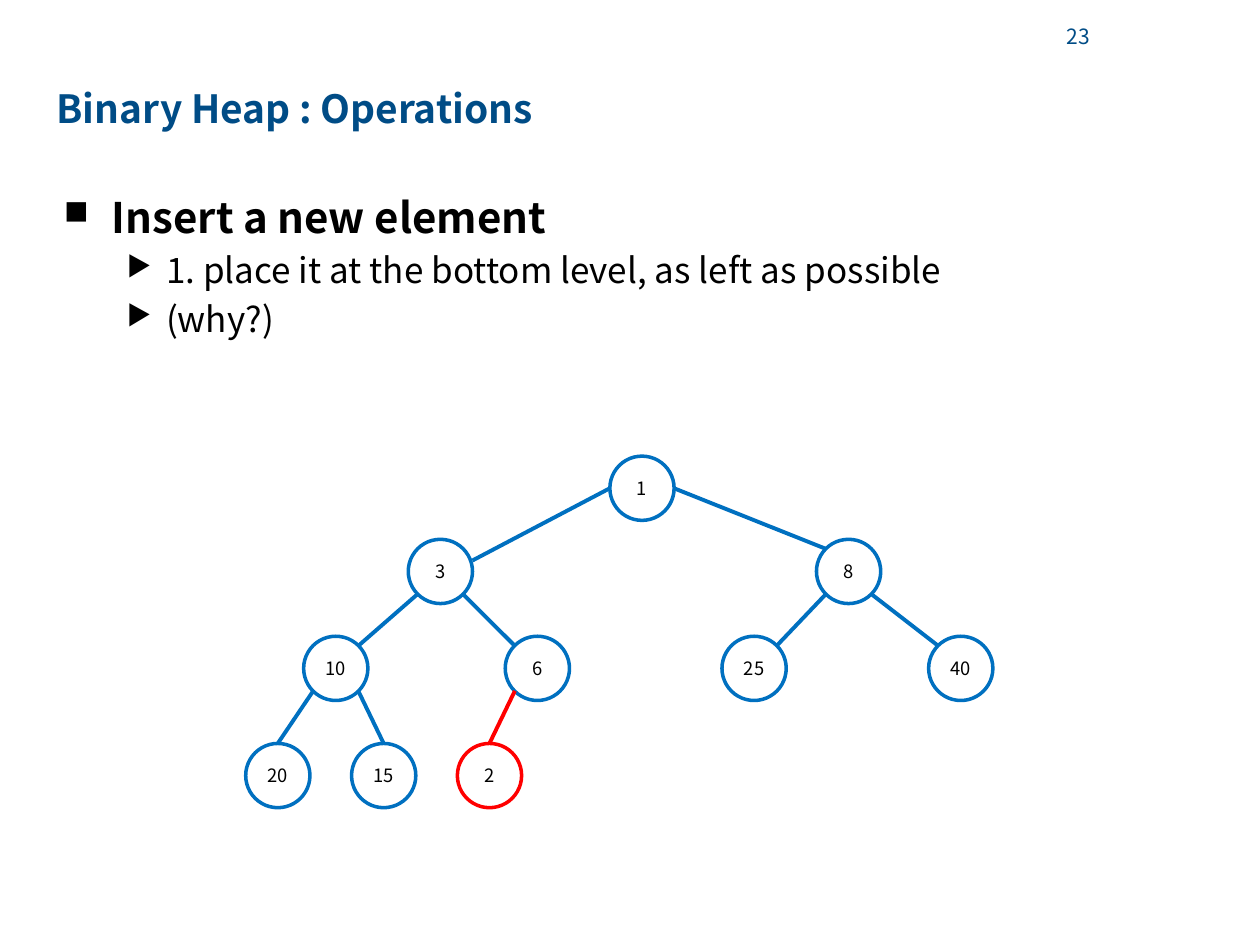
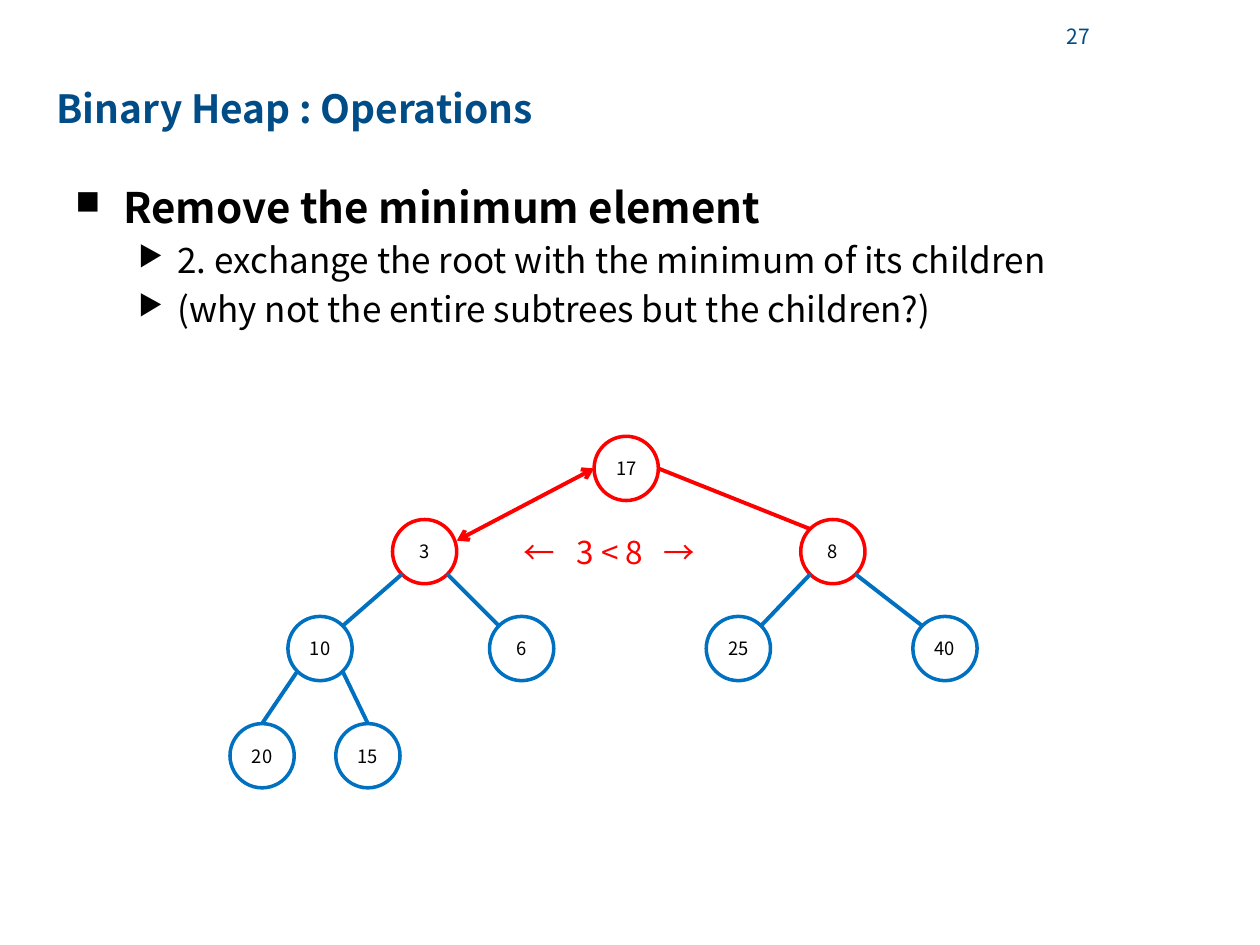
"""Build two slides on the insert and remove operations of a binary heap."""
from dataclasses import dataclass
from typing import Any, NamedTuple

from lxml.etree import SubElement as Sub
from pptx import Presentation
from pptx.dml.color import RGBColor as Rgb
from pptx.enum.shapes import MSO_CONNECTOR as Conn, MSO_SHAPE as Shp
from pptx.enum.text import MSO_ANCHOR as Anchor, PP_ALIGN as Align
from pptx.oxml.ns import qn
from pptx.util import Inches, Pt

COLORS = {"title": "004C86", "text": "000000", "paper": "FFFFFF",
          "edge": "0070C0", "mark": "FF0000"}
FONT = "Noto Sans CJK KR"
TITLE = "Binary Heap : Operations"
WIDTH, HEIGHT = Inches(10), Inches(7.5)
DIAMETER = int(WIDTH * 0.051)
ROW_TOPS = (48.27, 57.07, 67.33, 78.67)


class Box(NamedTuple):
    """Left, top, width and height in percent of the slide."""
    x: float
    y: float
    w: float
    h: float


class Port(NamedTuple):
    """A point on a node, in shares of its diameter."""
    x: float
    y: float


class Slot(NamedTuple):
    """Left side of a heap position and the ports of the edge from its parent."""
    x: float
    start: Port | None = None
    end: Port | None = None


class Level(NamedTuple):
    """Bullet, size, weight and indents of an outline level."""
    bullet: str
    size: float
    bold: bool
    margin: float
    indent: float


@dataclass
class HeapSlide:
    """Everything that differs between the slides."""
    number: str
    body: Box
    lines: tuple[str, ...]
    keys: tuple[int, ...]
    marked: tuple[int, ...]
    dx: float = 0
    dy: float = 0
    swapped: int = 0
    note: str = ""


LEFT, RIGHT, TOP = Port(0, 0.5), Port(1, 0.5), Port(0.5, 0)
NW, NE, SW, SE = Port(0.15, 0.15), Port(0.85, 0.15), Port(0.15, 0.85), Port(0.85, 0.85)
SLOTS = {
    1: Slot(48.4),
    2: Slot(32.4, LEFT, Port(1, 0.33)), 3: Slot(64.8, RIGHT, NW),
    4: Slot(24.1, SW, NE), 5: Slot(40.1, SE, NW),
    6: Slot(57.3, SW, NE), 7: Slot(73.7, SE, NW),
    8: Slot(19.5, SW, TOP), 9: Slot(27.9, SE, TOP), 10: Slot(36.3, SW, TOP),
}
LEVELS = (Level("■", 24, True, 0.38, -0.38), Level("▶", 20, False, 0.81, -0.31))
TITLE_BOX, NUMBER_BOX = Box(3.5, 8.27, 92.1, 5.6), Box(81.5, 1.2, 6, 5.33)
NOTE_BOX, NOTE_TABS = Box(40.6, 55.73, 18.7, 5.33), (0.42, 1.11)
SLIDES = (
    HeapSlide("23", Box(4.1, 19.6, 90, 66),
              ("Insert a new element",
               "1. place it at the bottom level, as left as possible", "(why?)"),
              (1, 3, 8, 10, 6, 25, 40, 20, 15, 2), (10,)),
    HeapSlide("27", Box(5, 18.53, 90, 66),
              ("Remove the minimum element",
               "2. exchange the root with the minimum of its children",
               "(why not the entire subtrees but the children?)"),
              (17, 3, 8, 10, 6, 25, 40, 20, 15), (1, 2, 3),
              -1.25, -2.1, 2, "←\t3 < 8\t→"),
)


def px(share: float) -> int:
    """Turn a percentage of the slide width into a length."""
    return int(WIDTH * share / 100)


def py(share: float) -> int:
    """Turn a percentage of the slide height into a length."""
    return int(HEIGHT * share / 100)


def rgb(name: str) -> Rgb:
    """Look up a named colour."""
    return Rgb.from_string(COLORS[name])


def apply(obj: Any, **values: Any) -> None:
    """Set several attributes of an object."""
    for name, value in values.items():
        setattr(obj, name, value)


def write(p: Any, text: str, size: float, color: str, bold: bool = False) -> None:
    """Add a formatted run to a paragraph."""
    r = p.add_run()
    r.text = text
    apply(r.font, name=FONT, size=Pt(size), bold=bold)
    r.font.color.rgb = rgb(color)
    Sub(r.font._element, qn("a:ea"), typeface=FONT)


def add_box(s: Any, box: Box, anchor: Any = Anchor.TOP) -> Any:
    """Add a wrapping text box and return its text frame."""
    tf = s.shapes.add_textbox(px(box.x), py(box.y), px(box.w), py(box.h)).text_frame
    apply(tf, word_wrap=True, vertical_anchor=anchor)
    return tf


def add_outline(s: Any, box: Box, lines: tuple[str, ...]) -> None:
    """Write a heading with its bulleted points."""
    tf = add_box(s, box)
    for i, line in enumerate(lines):
        p = tf.add_paragraph() if i else tf.paragraphs[0]
        level = LEVELS[min(i, 1)]
        apply(p, level=min(i, 1), space_before=Pt(level.size * 0.2))
        pr = p._p.get_or_add_pPr()
        pr.set("marL", str(Inches(level.margin)))
        pr.set("indent", str(Inches(level.indent)))
        Sub(pr, qn("a:buSzPct"), val="80000")
        Sub(pr, qn("a:buChar"), char=level.bullet)
        write(p, line, level.size, "text", level.bold)


def add_node(s: Any, x: int, y: int, key: int, color: str) -> None:
    """Draw one heap node."""
    sp = s.shapes.add_shape(Shp.OVAL, x, y, DIAMETER, DIAMETER)
    sp.shadow.inherit = False
    sp.fill.solid()
    sp.fill.fore_color.rgb = rgb("paper")
    sp.line.color.rgb = rgb(color)
    sp.line.width = Pt(2)
    tf = sp.text_frame
    apply(tf, word_wrap=False, vertical_anchor=Anchor.MIDDLE, margin_left=0,
          margin_right=0, margin_top=0, margin_bottom=0)
    p = tf.paragraphs[0]
    p.alignment = Align.CENTER
    write(p, str(key), 10.5, "text")


def add_edge(s: Any, start: tuple[int, int], end: tuple[int, int],
             color: str, arrows: bool) -> None:
    """Join two nodes, with arrowheads at both ends if asked."""
    c = s.shapes.add_connector(Conn.STRAIGHT, *start, *end)
    c.line.color.rgb = rgb(color)
    c.line.width = Pt(2.25)
    if arrows:
        for tag in ("a:headEnd", "a:tailEnd"):
            Sub(c.line._get_or_add_ln(), qn(tag), type="arrow")
    Sub(c._element.spPr, qn("a:effectLst"))


def add_heap(s: Any, d: HeapSlide) -> None:
    """Draw the nodes and edges of a heap given in array order."""
    spots = {i: (px(slot.x + d.dx), py(ROW_TOPS[i.bit_length() - 1] + d.dy))
             for i, slot in SLOTS.items()}
    colors = {i: "mark" if i in d.marked else "edge" for i in SLOTS}

    def point(i: int, port: Port) -> tuple[int, int]:
        """Locate a port of a node."""
        x, y = spots[i]
        return int(x + DIAMETER * port.x), int(y + DIAMETER * port.y)

    for i, key in enumerate(d.keys, 1):
        add_node(s, *spots[i], key, colors[i])
    for i in range(2, len(d.keys) + 1):
        slot = SLOTS[i]
        add_edge(s, point(i // 2, slot.start), point(i, slot.end),
                 colors[i], i == d.swapped)


def add_note(s: Any, text: str) -> None:
    """Write the comparison between the two children."""
    p = add_box(s, NOTE_BOX).paragraphs[0]
    tabs = Sub(p._p.get_or_add_pPr(), qn("a:tabLst"))
    for pos in NOTE_TABS:
        Sub(tabs, qn("a:tab"), pos=str(Inches(pos)), algn="l")
    write(p, text, 18, "mark")


def build_slide(prs: Any, d: HeapSlide) -> None:
    """Add one slide."""
    s = prs.slides.add_slide(prs.slide_layouts[6])
    write(add_box(s, TITLE_BOX).paragraphs[0], TITLE, 22.2, "title", True)
    p = add_box(s, NUMBER_BOX, Anchor.MIDDLE).paragraphs[0]
    p.alignment = Align.RIGHT
    write(p, d.number, 12, "title")
    add_outline(s, d.body, d.lines)
    add_heap(s, d)
    if d.note:
        add_note(s, d.note)


def main() -> None:
    """Build and save the presentation."""
    prs = Presentation()
    apply(prs, slide_width=WIDTH, slide_height=HEIGHT)
    for d in SLIDES:
        build_slide(prs, d)
    prs.save("out.pptx")


if __name__ == "__main__":
    main()
